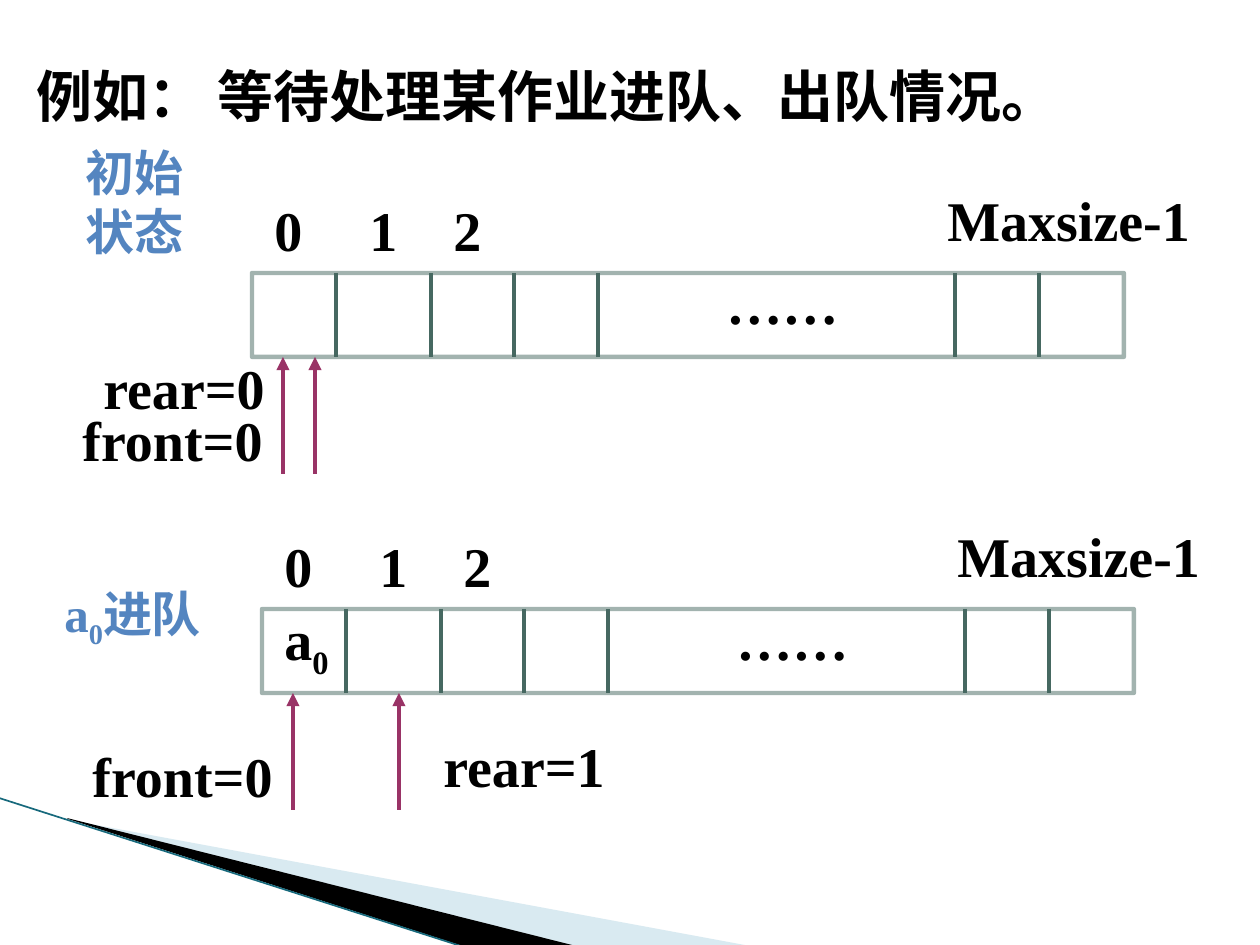
from dataclasses import dataclass

from lxml import etree
from pptx import Presentation, util as u
from pptx.dml.color import RGBColor
from pptx.enum import shapes, text
from pptx.oxml.ns import qn

SCALE = u.Inches(1) / 126


@dataclass(frozen=True)
class Theme:
    ink: str = "000000"
    caption: str = "5485C0"
    cell: str = "466861"
    arrow: str = "993366"
    wedge: str = "A0CBDC"
    edge: str = "17697C"
    latin: str = "Times New Roman"
    title_font: str = "Arial"
    label_size: int = 32
    caption_size: int = 28


THEME = Theme()
QUEUE_WIDTH, CELL_HEIGHT = 872, 84
DIVIDERS = (84, 179, 262, 346, 703, 787)
SHARED_LABELS = (
    ("0", 10, -84, 63),
    ("1", 105, -84, 63),
    ("2", 189, -84, 63),
    ("Maxsize-1", 683, -94, 273),
    ("……", 462, -11, 158),
    ("front=0", -182, 126, 256),
)


def px(value):
    return u.Emu(round(value * SCALE))


def set_values(target, values):
    for name, value in values.items():
        setattr(target, name, value)


def set_alpha(fill, percent):
    color = fill._xPr.find(qn("a:solidFill"))[0]
    etree.SubElement(color, qn("a:alpha")).set("val", str(percent * 1000))


def paint(fill, color, alpha=100):
    fill.solid()
    fill.fore_color.rgb = RGBColor.from_string(color)
    if alpha < 100:
        set_alpha(fill, alpha)


def add_label(container, parts, left, top, width, color=THEME.ink,
              size=THEME.label_size, font=THEME.latin, height=79, spacing=None):
    frame = container.add_textbox(px(left), px(top), px(width), px(height)).text_frame
    set_values(frame, {"word_wrap": True, "auto_size": text.MSO_AUTO_SIZE.SHAPE_TO_FIT_TEXT})
    paragraph = frame.paragraphs[0]
    if spacing:
        paragraph.line_spacing = spacing
    for index, part in enumerate([parts] if isinstance(parts, str) else parts):
        run = paragraph.add_run()
        run.text = part
        set_values(run.font, {"size": u.Pt(size), "name": font, "bold": True})
        run.font.color.rgb = RGBColor.from_string(color)
        if index == 1:
            run._r.get_or_add_rPr().set("baseline", "-25000")


def add_line(container, start, end, color, width, arrow=False):
    connector = container.add_connector(
        shapes.MSO_CONNECTOR.STRAIGHT, *map(px, (*start, *end)))
    paint(connector.line.fill, color)
    connector.line.width = u.Pt(width)
    properties = connector._element.spPr
    if arrow:
        etree.SubElement(properties.find(qn("a:ln")), qn("a:tailEnd")).set("type", "triangle")
    etree.SubElement(properties, qn("a:effectLst"))


def add_wedge(container, points, color, alpha=100):
    builder = container.build_freeform(*points[0], scale=SCALE)
    builder.add_line_segments(points[1:], close=True)
    shape = builder.convert_to_shape()
    shape.shadow.inherit = False
    paint(shape.fill, color, alpha)
    shape.line.fill.background()


def add_queue(container, left, top, labels, arrows):
    frame = container.add_shape(
        shapes.MSO_SHAPE.RECTANGLE, *map(px, (left, top, QUEUE_WIDTH, CELL_HEIGHT)))
    frame.shadow.inherit = False
    frame.fill.background()
    paint(frame.line.fill, THEME.cell, 50)
    frame.line.width = u.Pt(2.5)
    bottom = top + CELL_HEIGHT
    for offset in DIVIDERS:
        x = left + offset
        add_line(container, (x, top), (x, bottom), THEME.cell, 2.25)
    for offset in arrows:
        x = left + offset
        add_line(container, (x, bottom + 117), (x, bottom), THEME.arrow, 2.5, arrow=True)
    for parts, x, y, width in SHARED_LABELS + labels:
        add_label(container, parts, left + x, top + y, width)


def add_caption(container, parts, left, top, width, height):
    add_label(container, parts, left, top, width, THEME.caption,
              THEME.caption_size, height=height)


def main():
    presentation = Presentation()
    set_values(presentation, {"slide_width": u.Inches(10), "slide_height": u.Inches(7.5)})
    slide = presentation.slides.add_slide(presentation.slide_layouts[6])

    add_wedge(slide.shapes, [(69, 820), (750, 946), (575, 946), (69, 819)], THEME.wedge, 40)
    add_wedge(slide.shapes, [(67, 818), (576, 946), (469, 948), (68, 819)], THEME.ink)
    add_line(slide.shapes, (-1, 798), (467, 948), THEME.edge, 0.95)
    add_label(slide.shapes, "例如： 等待处理某作业进队、出队情况。", 24, 42, 1236,
              font=THEME.title_font, height=95, spacing=1.2)

    enqueued = slide.shapes.add_group_shape().shapes
    add_queue(enqueued, 262, 609,
              ((("a", "0"), 10, -11, 105), ("rear=1", 169, 116, 242)), (31, 137))
    add_caption(enqueued, ("a", "0", "进队"), 52, 577, 210, 72)

    initial = slide.shapes.add_group_shape().shapes
    add_queue(initial, 252, 273, (("rear=0", -161, 74, 214),), (31, 63))
    add_caption(initial, "初始状态", 73, 136, 126, 130)

    presentation.save("out.pptx")


if __name__ == "__main__":
    main()
